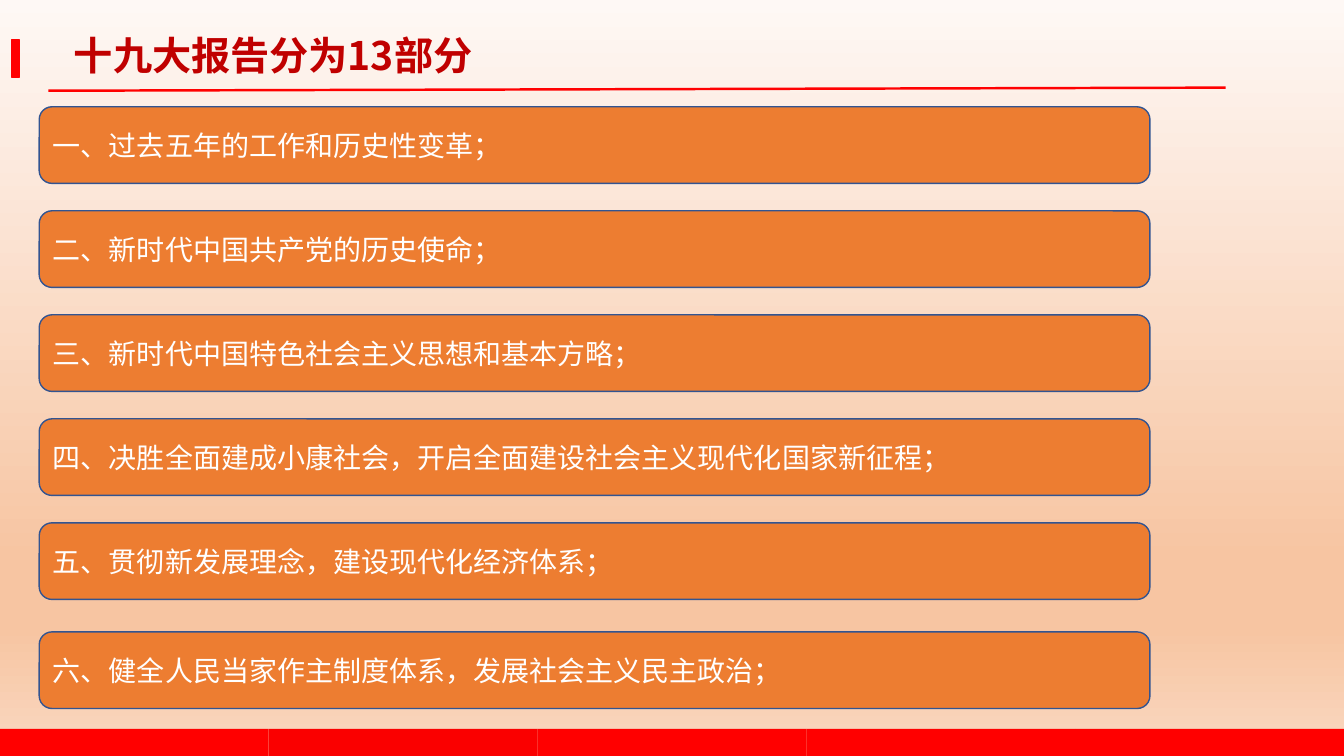
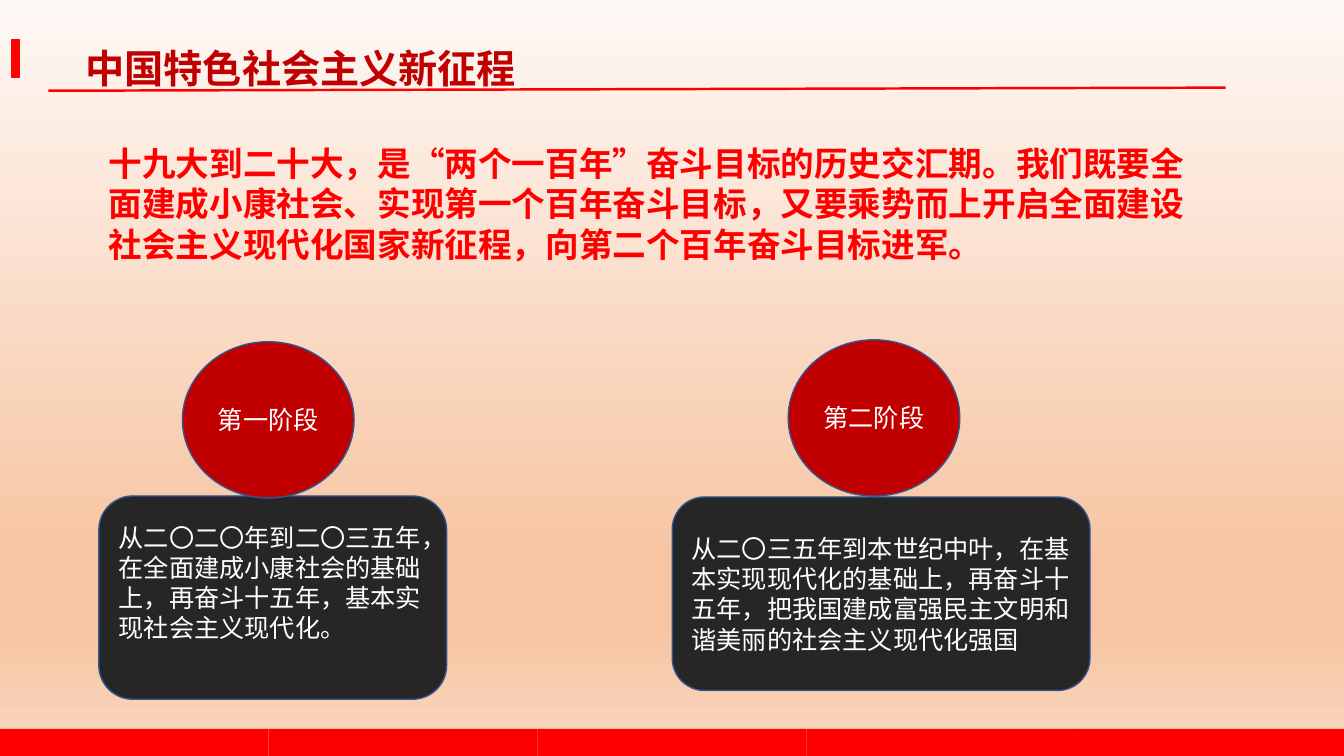
from dataclasses import dataclass

from lxml import etree
from pptx import Presentation
from pptx.dml.color import RGBColor
from pptx.enum import shapes, text
from pptx.oxml import ns
from pptx.util import Pt

PARTS_TITLE = "十九大报告分为13部分"
PARTS = [
    "一、过去五年的工作和历史性变革；",
    "二、新时代中国共产党的历史使命；",
    "三、新时代中国特色社会主义思想和基本方略；",
    "四、决胜全面建成小康社会，开启全面建设社会主义现代化国家新征程；",
    "五、贯彻新发展理念，建设现代化经济体系；",
    "六、健全人民当家作主制度体系，发展社会主义民主政治；",
]

JOURNEY_TITLE = "中国特色社会主义新征程"
JOURNEY_INTRO = (
    "十九大到二十大，是“两个一百年”奋斗目标的历史交汇期。"
    "我们既要全面建成小康社会、实现第一个百年奋斗目标，"
    "又要乘势而上开启全面建设社会主义现代化国家新征程，"
    "向第二个百年奋斗目标进军。"
)
STAGES = [
    {
        "name": "第一阶段",
        "goal": "从二〇二〇年到二〇三五年，在全面建成小康社会的基础上，"
                "再奋斗十五年，基本实现社会主义现代化。",
        "circle": (130.3, 244.1, 122.6, 111.6),
        "card": (70.6, 354.3, 248.4, 145.2),
        "bottom": 25.2,
    },
    {
        "name": "第二阶段",
        "goal": "从二〇三五年到本世纪中叶，在基本实现现代化的基础上，"
                "再奋斗十五年，把我国建成富强民主文明和谐美丽的社会主义现代化强国",
        "circle": (563, 242.7, 122.6, 111.6),
        "card": (480.2, 355, 298.4, 138.2),
        "bottom": 3.6,
    },
]


@dataclass(frozen=True)
class Theme:
    width: float = 960
    height: float = 540
    font: str = "Noto Sans CJK SC"
    red: str = "FF0000"
    deep_red: str = "C00000"
    orange: str = "ED7D31"
    dark: str = "262626"
    outline: str = "325491"
    white: str = "FFFFFF"
    band: tuple = ("FF0000", "FA0000", "FF0000", "FF0000", "FF0000")
    backdrop: tuple = ((0, "FEF8F5"), (74, "F7C5A2"), (83, "F7C5A2"), (100, "FAD8C1"))
    title_size: float = 28
    intro_size: float = 24
    part_size: float = 20
    stage_size: float = 18
    leading: float = 1.2


THEME = Theme()
LEFT, CENTER = text.PP_ALIGN.LEFT, text.PP_ALIGN.CENTER
MIDDLE, TOP = text.MSO_ANCHOR.MIDDLE, text.MSO_ANCHOR.TOP
RECT = shapes.MSO_SHAPE.RECTANGLE
ROUNDED = shapes.MSO_SHAPE.ROUNDED_RECTANGLE
OVAL = shapes.MSO_SHAPE.OVAL


def color(value):
    return RGBColor.from_string(value)


def apply(target, formats):
    for name, value in formats.items():
        setattr(target, name, value)


def points(values):
    return [Pt(value) for value in values]


def write(box, words, size, ink, align=LEFT, anchor=MIDDLE, bold=False,
          insets=(7.2, 3.6, 7.2, 3.6)):
    frame = box.text_frame
    sides = ("margin_left", "margin_top", "margin_right", "margin_bottom")
    apply(frame, {
        "word_wrap": True,
        "auto_size": text.MSO_AUTO_SIZE.NONE,
        "vertical_anchor": anchor,
        **dict(zip(sides, points(insets))),
    })
    para = frame.paragraphs[0]
    apply(para, {"alignment": align, "line_spacing": Pt(size * THEME.leading)})
    para._p.get_or_add_pPr().set("hangingPunct", "1")
    span = para.add_run()
    span.text = words
    apply(span.font, {"size": Pt(size), "bold": bold, "name": THEME.font})
    span.font.color.rgb = color(ink)
    latin = span._r.get_or_add_rPr().find(ns.qn("a:latin"))
    east = etree.Element(ns.qn("a:ea"), typeface=THEME.font)
    latin.addnext(east)


def add_block(parent, kind, place, fill, outline=None):
    box = parent.shapes.add_shape(kind, *points(place))
    box.shadow.inherit = False
    box.fill.solid()
    box.fill.fore_color.rgb = color(fill)
    if outline:
        box.line.color.rgb = color(outline)
        box.line.width = Pt(1)
    else:
        box.line.fill.background()
    return box


def paint_backdrop(master):
    fill = master.background.fill
    fill.gradient()
    fill.gradient_angle = 270
    stops = master.element.find(".//" + ns.qn("a:gsLst"))
    for stop in list(stops):
        stops.remove(stop)
    for percent, shade in THEME.backdrop:
        stop = etree.SubElement(stops, ns.qn("a:gs"), pos=str(percent * 1000))
        etree.SubElement(stop, ns.qn("a:srgbClr"), val=shade)


def add_page(deck, title, place):
    page = deck.slides.add_slide(deck.slide_layouts.get_by_name("Title Only"))
    heading = page.shapes.title
    apply(heading, dict(zip(("left", "top", "width", "height"), points(place))))
    write(heading, title, THEME.title_size, THEME.deep_red, CENTER, bold=True,
          insets=(0, 0, 0, 0))

    add_block(page, RECT, (8.6, 28.1, 5, 27.4), THEME.red, THEME.red)
    rule = page.shapes.add_connector(
        shapes.MSO_CONNECTOR.STRAIGHT, *points((34.6, 64.8, 875.5, 62.6)))
    rule.line.color.rgb = color(THEME.red)
    rule.line.width = Pt(1.75)
    etree.SubElement(rule._element.spPr, ns.qn("a:effectLst"))

    band = page.shapes.add_group_shape()
    step = THEME.width / len(THEME.band)
    for index, shade in enumerate(THEME.band):
        add_block(band, RECT, (index * step, 520.6, step, 19.4), shade)
    return page


def add_parts(deck):
    page = add_page(deck, PARTS_TITLE, (18.7, 22.3, 352.8, 33.8))
    first, step, last = 76.3, 74.3, 451.4
    tops = [first + step * index for index in range(len(PARTS) - 1)] + [last]
    for words, top in zip(PARTS, tops):
        bar = add_block(page, ROUNDED, (28, top, 793.4, 54.7),
                        THEME.orange, THEME.outline)
        write(bar, words, THEME.part_size, THEME.white)


def add_journey(deck):
    page = add_page(deck, JOURNEY_TITLE, (46, 31.7, 337.7, 33.8))
    intro = page.shapes.add_textbox(*points((70.6, 98.5, 802, 94.3)))
    write(intro, JOURNEY_INTRO, THEME.intro_size, THEME.red, anchor=TOP, bold=True)
    for stage in STAGES:
        card = add_block(page, ROUNDED, stage["card"], THEME.dark, THEME.outline)
        write(card, stage["goal"], THEME.stage_size, THEME.white,
              insets=(7.2, 3.6, 7.2, stage["bottom"]))
        circle = add_block(page, OVAL, stage["circle"], THEME.deep_red, THEME.outline)
        write(circle, stage["name"], THEME.stage_size, THEME.white, CENTER)


def main():
    deck = Presentation()
    apply(deck, {"slide_width": Pt(THEME.width), "slide_height": Pt(THEME.height)})
    paint_backdrop(deck.slide_master)
    add_parts(deck)
    add_journey(deck)
    deck.save("out.pptx")


if __name__ == "__main__":
    main()
